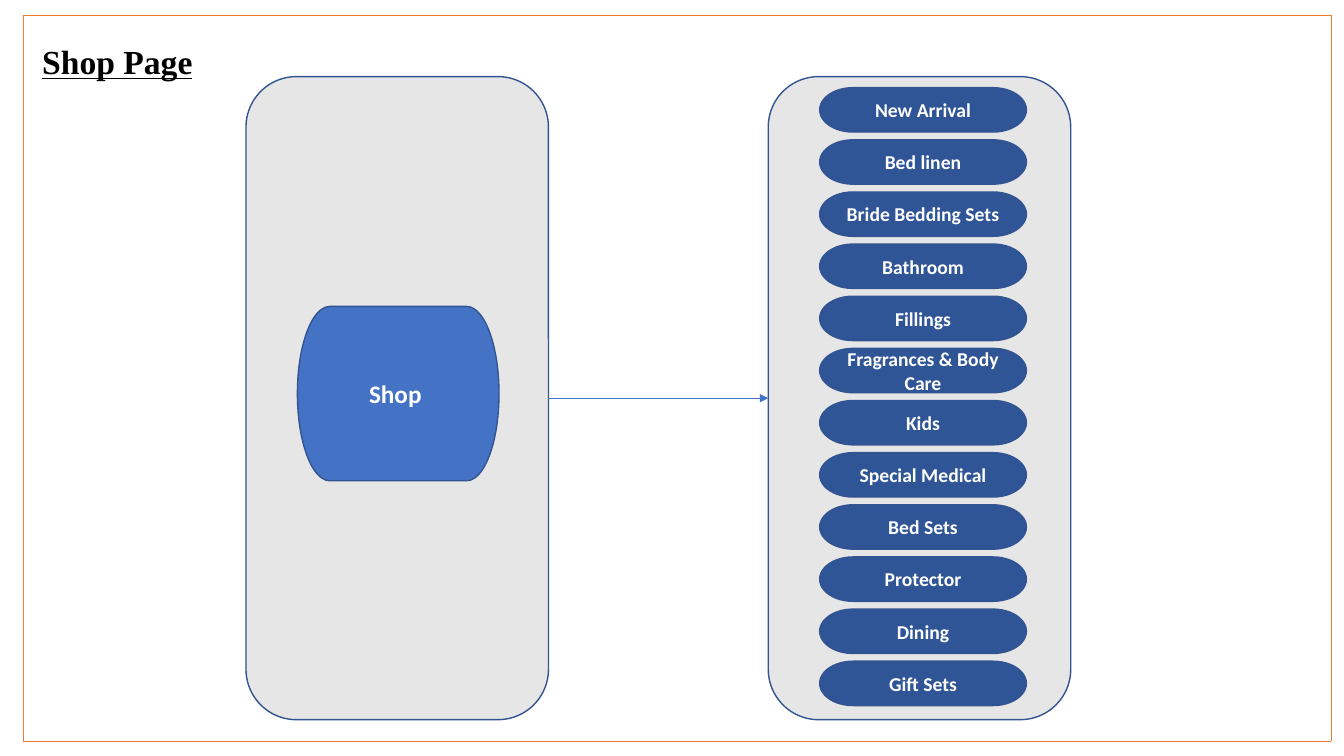
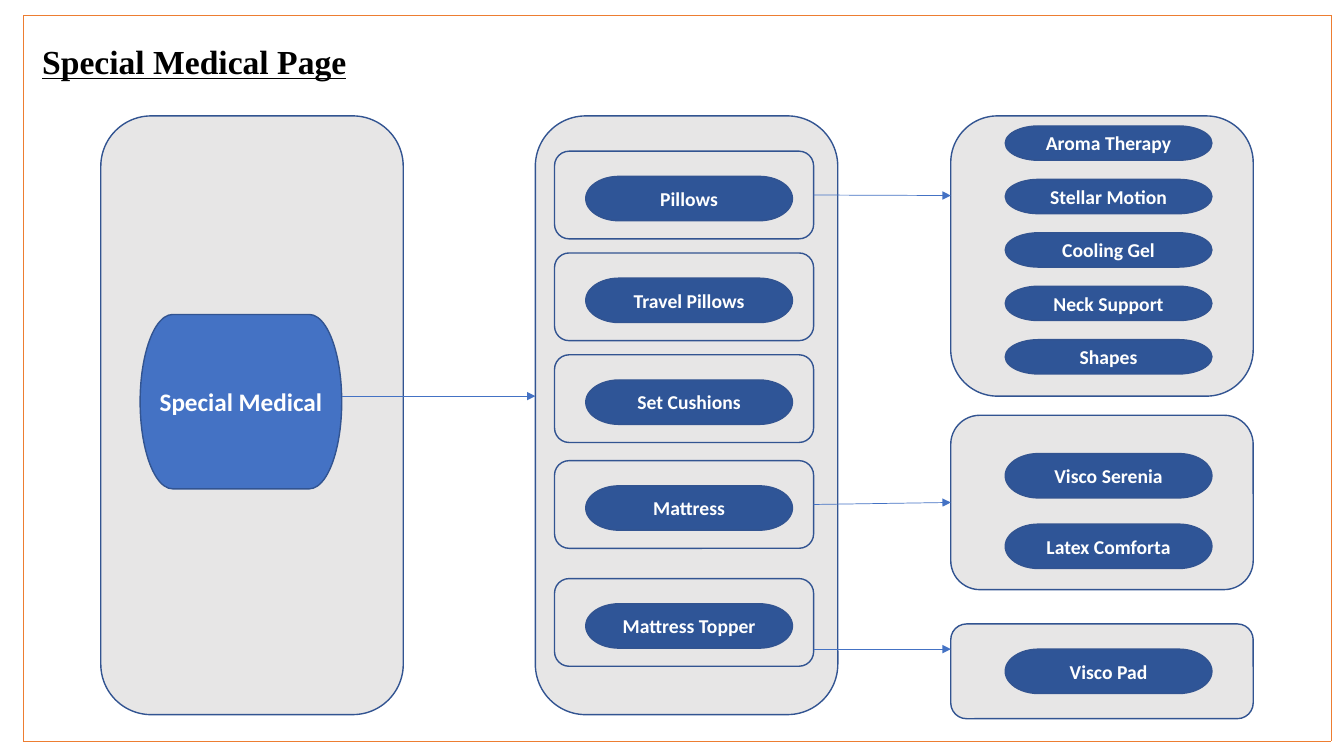
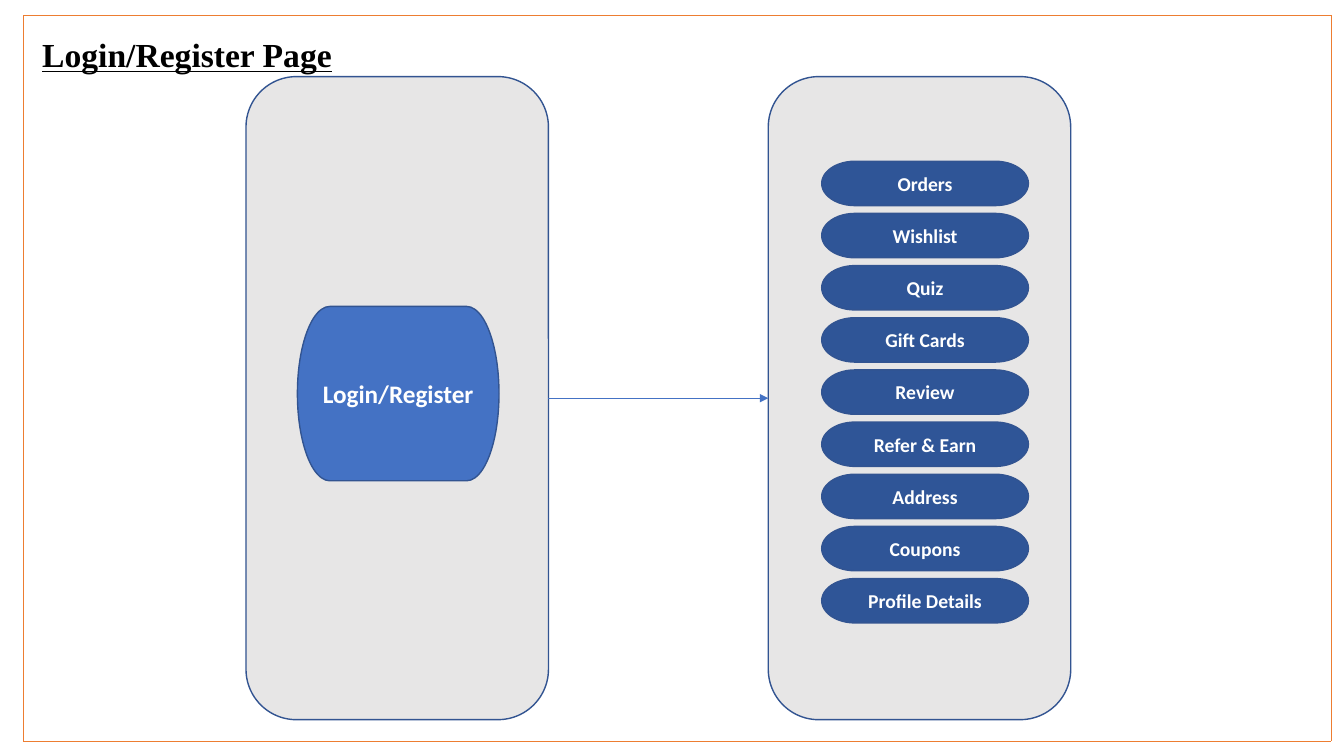
"""Build three site-map slides: shop, special medical and login/register pages."""
from lxml import etree
from pptx import Presentation
from pptx.dml.color import RGBColor
from pptx.enum.shapes import MSO_CONNECTOR, MSO_SHAPE
from pptx.enum.text import MSO_ANCHOR, MSO_AUTO_SIZE, PP_ALIGN
from pptx.oxml.ns import qn
from pptx.util import Inches, Pt

STRAIGHT = MSO_CONNECTOR.STRAIGHT
PANEL = MSO_SHAPE.ROUNDED_RECTANGLE
PILL = MSO_SHAPE.FLOWCHART_TERMINATOR
MIDDLE = MSO_ANCHOR.MIDDLE
CENTER = PP_ALIGN.CENTER
GROW = MSO_AUTO_SIZE.SHAPE_TO_FIT_TEXT
LEFT_SIDE, RIGHT_SIDE = 1, 3

ORANGE = RGBColor(0xED, 0x7D, 0x31)
GREY = RGBColor(0xE7, 0xE6, 0xE6)
OUTLINE = RGBColor(0x32, 0x54, 0x91)
BLUE = RGBColor(0x44, 0x72, 0xC4)
NAVY = RGBColor(0x2F, 0x55, 0x97)
WHITE = RGBColor(0xFF, 0xFF, 0xFF)
BLACK = RGBColor(0x00, 0x00, 0x00)

TITLE_FONT = {"name": "Times New Roman", "size": Pt(24), "bold": True, "underline": True}
HUB_FONT = {"name": "Calibri", "size": Pt(18), "bold": True}
PILL_FONT = {"name": "Calibri", "size": Pt(14), "bold": True}

FRAME = (0.23, 0.15, 13.2, 7.35)
HUB_SIZE = (2, 1.73)
PILL_WIDTH, PILL_HEIGHT, SLIM_HEIGHT = 2.05, 0.44, 0.34
BOX_LEFT, BOX_WIDTH, BOX_HEIGHT = 5.5, 2.57, 0.87
BOX_PILL_OFFSET = (0.31, 0.25)
TWO_PANELS = [(2.44, 0.76, 3, 6.38), (7.62, 0.76, 3, 6.38)]
PANEL_ARROW = ((5.44, 3.95), (7.62, 3.95))

# Each column: left, first top, last top, pill height, labels
PAGES = [
    {
        "title": "Shop Page", "title_top": 0.36,
        "panels": TWO_PANELS,
        "hub": ("Shop ", 2.95, 3.04),
        "boxes": [],
        "columns": [
            (8.13, 0.87, 6.56, PILL_HEIGHT, [
                "New Arrival", "Bed linen", "Bride Bedding Sets", "Bathroom", "Fillings",
                "Fragrances & Body Care", "Kids", "Special Medical", "Bed Sets",
                "Protector", "Dining", "Gift Sets"]),
        ],
        "arrows": [PANEL_ARROW],
    },
    {
        "title": "Special Medical Page", "title_top": 0.36,
        "panels": [(1, 1.15, 3, 5.94), (5.31, 1.15, 3, 5.94), (9.43, 1.15, 3, 2.78),
                   (9.43, 4.12, 3, 1.73), (9.43, 6.19, 3, 0.94)],
        "hub": ("Special Medical ", 1.39, 3.12),
        "boxes": [("Pillows", 1.5), ("Travel Pillows", 2.51), ("Set Cushions", 3.52),
                  ("Mattress", 4.57), ("Mattress Topper", 5.74)],
        "columns": [
            (9.97, 1.25, 3.37, SLIM_HEIGHT, [
                "Aroma Therapy", "Stellar Motion", "Cooling Gel", "Neck Support", "Shapes"]),
            (9.97, 4.5, 5.2, PILL_HEIGHT, ["Visco Serenia", "Latex Comforta"]),
            (9.97, 6.44, 6.44, PILL_HEIGHT, ["Visco Pad"]),
        ],
        "arrows": [((3.39, 3.93), (5.31, 3.93)), ((8.07, 1.94), (9.43, 1.94)),
                   ((8.07, 5), (9.43, 4.98)), ((8.07, 6.44), (9.43, 6.44))],
    },
    {
        "title": "Login/Register Page", "title_top": 0.29,
        "panels": TWO_PANELS,
        "hub": ("Login/Register", 2.95, 3.04),
        "boxes": [],
        "columns": [
            (8.15, 1.6, 5.74, PILL_HEIGHT, [
                "Orders", "Wishlist", "Quiz", "Gift Cards", "Review", "Refer & Earn",
                "Address", "Coupons", "Profile Details"]),
        ],
        "arrows": [PANEL_ARROW],
    },
]


def write(frame, text, style, color):
    paragraph = frame.paragraphs[0]
    run = paragraph.add_run()
    run.text = text
    for name, value in style.items():
        setattr(run.font, name, value)
    run.font.color.rgb = color
    return paragraph


def add_block(slide, kind, place, fill, text="", style=PILL_FONT):
    block = slide.shapes.add_shape(kind, *map(Inches, place))
    block.shadow.inherit = False
    block.fill.solid()
    block.fill.fore_color.rgb = fill
    block.line.color.rgb = OUTLINE
    block.line.width = Pt(1)
    if text:
        block.text_frame.word_wrap = True
        block.text_frame.vertical_anchor = MIDDLE
        write(block.text_frame, text, style, WHITE).alignment = CENTER
    return block


def add_line(slide, start, end, color):
    line = slide.shapes.add_connector(STRAIGHT, *map(Inches, (*start, *end)))
    line.line.color.rgb = color
    line.line.width = Pt(0.5)
    etree.SubElement(line._element.spPr, qn("a:effectLst"))
    return line


def add_frame(slide):
    left, top, right, bottom = FRAME
    for start, end in [((left, top), (right, top)), ((left, top), (left, bottom)),
                       ((right, top), (right, bottom)), ((left, bottom), (right, bottom))]:
        add_line(slide, start, end, ORANGE)


def add_title(slide, text, top):
    title = slide.shapes.add_textbox(*map(Inches, (0.32, top, 5.29, 0.5)))
    title.text_frame.word_wrap = True
    title.text_frame.auto_size = GROW
    write(title.text_frame, text, TITLE_FONT, BLACK)


def join(connect, point, side, blocks):
    tolerance = Inches(0.02)
    x, y = map(Inches, point)
    for block in blocks:
        edge = block.left + (block.width if side == RIGHT_SIDE else 0)
        middle = block.top + block.height // 2
        if abs(edge - x) <= tolerance and abs(middle - y) <= tolerance:
            connect(block, side)


def add_arrow(slide, start, end, blocks):
    arrow = add_line(slide, start, end, BLUE)
    etree.SubElement(arrow.line._get_or_add_ln(), qn("a:tailEnd"), type="triangle")
    join(arrow.begin_connect, start, RIGHT_SIDE, blocks)
    join(arrow.end_connect, end, LEFT_SIDE, blocks)


def add_column(slide, left, first, last, height, labels):
    pitch = (last - first) / max(len(labels) - 1, 1)
    for index, label in enumerate(labels):
        place = (left, first + index * pitch, PILL_WIDTH, height)
        add_block(slide, PILL, place, NAVY, label)


def add_page(slide, page):
    add_frame(slide)
    blocks = [add_block(slide, PANEL, place, GREY) for place in page["panels"]]
    hub_text, *hub_corner = page["hub"]
    add_block(slide, PILL, (*hub_corner, *HUB_SIZE), BLUE, hub_text, HUB_FONT)
    add_title(slide, page["title"], page["title_top"])
    for column in page["columns"]:
        add_column(slide, *column)
    inset, drop = BOX_PILL_OFFSET
    for label, top in page["boxes"]:
        blocks.append(add_block(slide, PANEL, (BOX_LEFT, top, BOX_WIDTH, BOX_HEIGHT), GREY))
        add_column(slide, BOX_LEFT + inset, top + drop, top + drop, PILL_HEIGHT, [label])
    for start, end in page["arrows"]:
        add_arrow(slide, start, end, blocks)


def main():
    deck = Presentation()
    deck.slide_width, deck.slide_height = Inches(13.33), Inches(7.5)
    for page in PAGES:
        add_page(deck.slides.add_slide(deck.slide_layouts[6]), page)
    deck.save("out.pptx")


if __name__ == "__main__":
    main()
